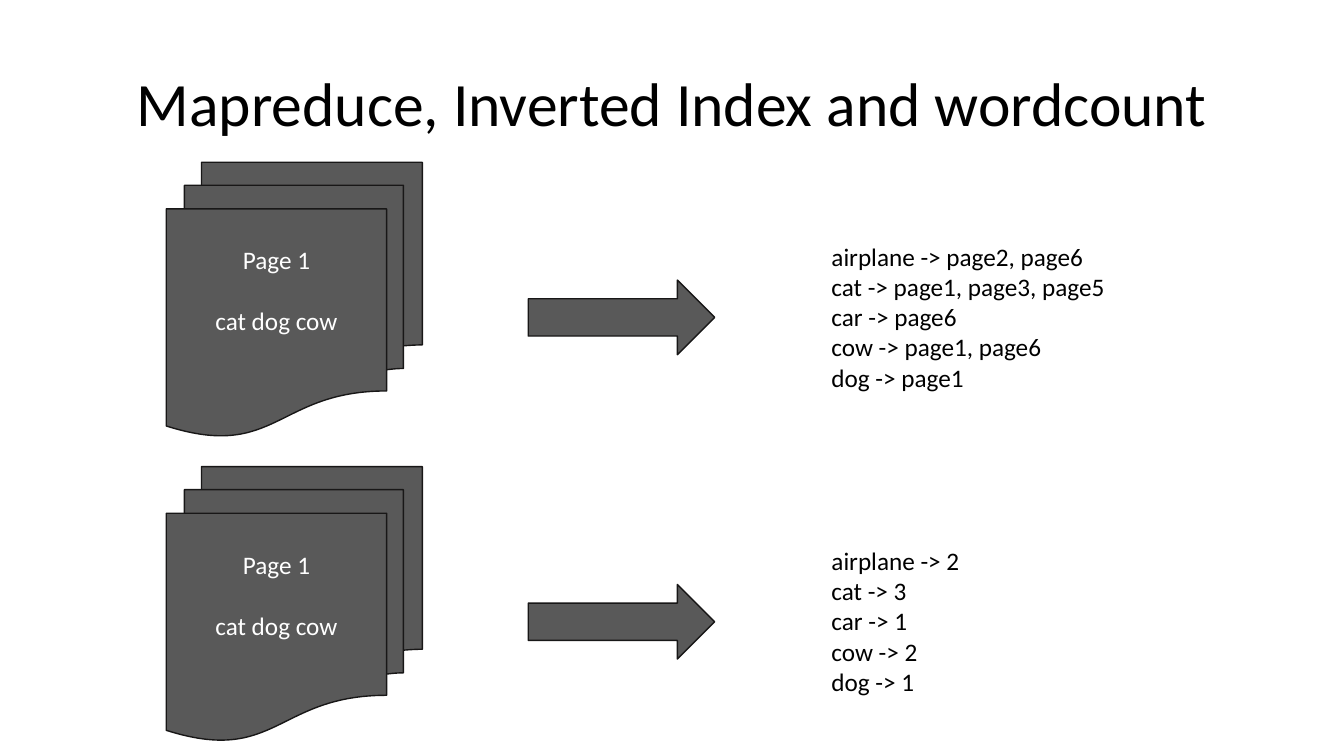
from dataclasses import dataclass

from pptx import Presentation
from pptx.dml.color import RGBColor
from pptx.enum.shapes import MSO_SHAPE
from pptx.enum.text import MSO_ANCHOR, PP_ALIGN
from pptx.shapes.autoshape import Shape
from pptx.slide import Slide
from pptx.util import Pt

DOCUMENTS = MSO_SHAPE.FLOWCHART_MULTIDOCUMENT
ARROW = MSO_SHAPE.RIGHT_ARROW
TOP = MSO_ANCHOR.TOP
MIDDLE = MSO_ANCHOR.MIDDLE
LEFT = PP_ALIGN.LEFT
CENTER = PP_ALIGN.CENTER

FONT = "Calibri"
BODY_SIZE = 18
LINE_HEIGHT = 22
TOP_INSET = 3.6
FIRST_ROW_TOP = 115.9
ROW_PITCH = 217.4


@dataclass(frozen=True)
class Area:
    left: float
    top: float
    width: float
    height: float

    def lowered(self, distance: float) -> "Area":
        return Area(self.left, self.top + distance, self.width, self.height)

    def lengths(self) -> tuple[Pt, Pt, Pt, Pt]:
        return Pt(self.left), Pt(self.top), Pt(self.width), Pt(self.height)


@dataclass(frozen=True)
class Job:
    page_lines: tuple[str, ...]
    results: tuple[str, ...]


TITLE_AREA = Area(66.2, 23.8, 828, 104.4)
PAGES_AREA = Area(118.8, 0, 182.9, 195.8)
ARROW_AREA = Area(377.3, 84.2, 133.2, 53.3)
RESULTS_AREA = Area(586.8, 52.6, 281.5, 116.6)

PAGE_LINES = ("Page 1", "cat dog cow")
JOBS = (
    Job(PAGE_LINES, (
        "airplane -> page2, page6",
        "cat -> page1, page3, page5",
        "car -> page6",
        "cow -> page1, page6",
        "dog -> page1",
    )),
    Job(PAGE_LINES, (
        "airplane -> 2",
        "cat -> 3",
        "car -> 1",
        "cow -> 2",
        "dog -> 1",
    )),
)


def color(value: str) -> RGBColor:
    return RGBColor.from_string(value)


def write_lines(box: Shape, lines: tuple[str, ...], size: float, ink: str,
                align: PP_ALIGN, anchor: MSO_ANCHOR, gap: float = 0,
                line_spacing: float = 1.0) -> None:
    frame = box.text_frame
    frame.word_wrap = True
    frame.vertical_anchor = anchor
    for index, line in enumerate(lines):
        para = frame.add_paragraph() if index else frame.paragraphs[0]
        para.alignment = align
        para.line_spacing = line_spacing
        para.space_before = Pt(gap if index else 0)
        span = para.add_run()
        span.text = line
        span.font.name = FONT
        span.font.size = Pt(size)
        span.font.color.rgb = color(ink)


def add_text(page: Slide, area: Area, lines: tuple[str, ...], size: float,
             align: PP_ALIGN, anchor: MSO_ANCHOR,
             line_spacing: float = 1.0) -> None:
    box = page.shapes.add_textbox(*area.lengths())
    write_lines(box, lines, size, "000000", align, anchor,
                line_spacing=line_spacing)


def add_gray_shape(page: Slide, kind: MSO_SHAPE, area: Area) -> Shape:
    shape = page.shapes.add_shape(kind, *area.lengths())
    shape.shadow.inherit = False
    shape.fill.solid()
    shape.fill.fore_color.rgb = color("595959")
    shape.line.color.rgb = color("181717")
    shape.line.width = Pt(1)
    return shape


def add_job(page: Slide, job: Job, top: float) -> None:
    documents = add_gray_shape(page, DOCUMENTS, PAGES_AREA.lowered(top))
    documents.text_frame.margin_top = Pt(TOP_INSET + LINE_HEIGHT)
    write_lines(documents, job.page_lines, BODY_SIZE, "FFFFFF", CENTER, TOP,
                gap=LINE_HEIGHT)
    add_gray_shape(page, ARROW, ARROW_AREA.lowered(top))
    add_text(page, RESULTS_AREA.lowered(top), job.results, BODY_SIZE, LEFT, TOP)


def main() -> None:
    deck = Presentation()
    deck.slide_width = Pt(960)
    deck.slide_height = Pt(540)
    page = deck.slides.add_slide(deck.slide_layouts[6])
    add_text(page, TITLE_AREA, ("Mapreduce, Inverted Index and wordcount",),
             44, CENTER, MIDDLE, line_spacing=0.9)
    for row, job in enumerate(JOBS):
        add_job(page, job, FIRST_ROW_TOP + row * ROW_PITCH)
    deck.save("out.pptx")


if __name__ == "__main__":
    main()
